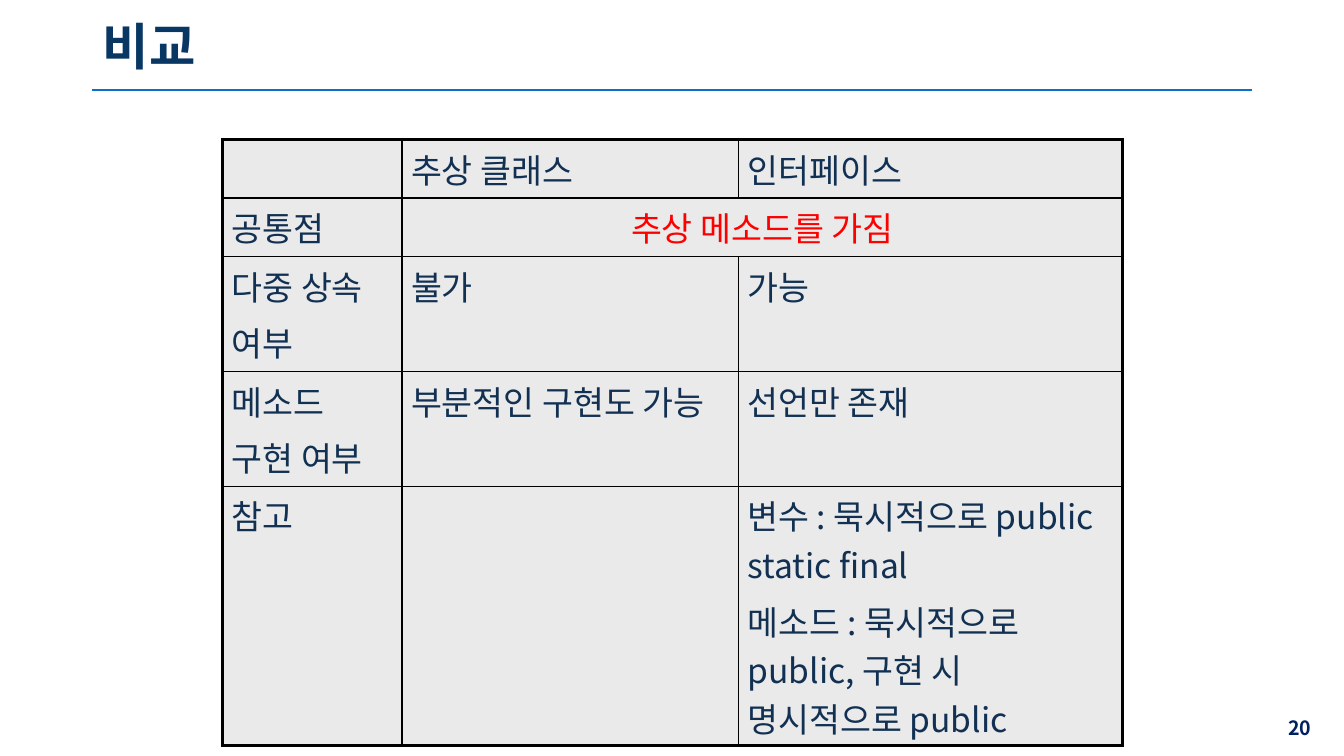
"""Build a slide that compares abstract classes with interfaces."""
import dataclasses

import lxml.etree
import pptx
import pptx.dml.color
import pptx.enum.shapes
import pptx.enum.text
import pptx.oxml.ns
import pptx.util

Cm = pptx.util.Cm
Pt = pptx.util.Pt
ALIGN = pptx.enum.text.PP_ALIGN
qn = pptx.oxml.ns.qn

SANS = "Noto Sans CJK KR"
INK = "113052"
COLS = (4.52, 8.48, 9.68)
ROWS = (1.48, 1.48, 2.89, 2.89, 6.54)
GRID = (
    ("", "추상 클래스", "인터페이스"),
    ("공통점", "추상 메소드를 가짐", ""),
    ("다중 상속\n여부", "불가", "가능"),
    ("메소드\n구현 여부", "부분적인 구현도 가능", "선언만 존재"),
    ("참고", "", "변수 : 묵시적으로 public static final\n"
     "메소드 : 묵시적으로 public, 구현 시 명시적으로 public"),
)


@dataclasses.dataclass(frozen=True)
class Style:
    size: int
    color: str
    face: str = SANS
    bold: bool = False
    align: ALIGN = ALIGN.LEFT


@dataclasses.dataclass(frozen=True)
class Label:
    text: str
    box: tuple[float, float, float, float]
    style: Style
    pitch: float = 1.0


BODY = Style(24, INK)
SHARED = Style(24, "FF0000", align=ALIGN.CENTER)
LABELS = (
    Label("비교", (2.34, 0.36, 29.21, 1.78),
          Style(36, "083763", "Arial", True), 0.9),
    Label("20", (31.55, 17.83, 1.75, 1.02),
          Style(14, "002060", bold=True, align=ALIGN.RIGHT)),
)


def color(code: str) -> pptx.dml.color.RGBColor:
    return pptx.dml.color.RGBColor.from_string(code)


def write(frame, text: str, style: Style) -> None:
    frame.text = text
    for index, para in enumerate(frame.paragraphs):
        para.alignment = style.align
        para.space_before = Pt(5.5 if index else 0)
        font = para.font
        font.name, font.size, font.bold = style.face, Pt(style.size), style.bold
        font.color.rgb = color(style.color)
        props = para._p.pPr.find(qn("a:defRPr"))
        lxml.etree.SubElement(props, qn("a:ea"), typeface=SANS)


def add_label(slide, label: Label) -> None:
    frame = slide.shapes.add_textbox(*map(Cm, label.box)).text_frame
    frame.word_wrap = True
    frame.vertical_anchor = pptx.enum.text.MSO_ANCHOR.MIDDLE
    write(frame, label.text, label.style)
    frame.paragraphs[0].line_spacing = label.pitch


def add_rule(slide) -> None:
    rule = slide.shapes.add_connector(
        pptx.enum.shapes.MSO_CONNECTOR.STRAIGHT,
        Cm(2.33), Cm(2.27), Cm(31.55), Cm(2.27))
    rule.line.color.rgb = color("0F6FC6")
    rule.line.width = Pt(1.5)
    lxml.etree.SubElement(rule._element.spPr, qn("a:effectLst"))


def add_edge(cell, side: str, outer: bool) -> None:
    width = Pt(2.25 if outer else 1)
    props = cell._tc.get_or_add_tcPr()
    edge = lxml.etree.SubElement(props, qn(f"a:ln{side}"), w=str(width))
    fill = lxml.etree.SubElement(edge, qn("a:solidFill"))
    lxml.etree.SubElement(fill, qn("a:srgbClr"), val="000000")


def add_grid(slide) -> None:
    table = slide.shapes.add_table(
        len(ROWS), len(COLS), Cm(5.61), Cm(3.51),
        Cm(sum(COLS)), Cm(sum(ROWS))).table
    table.first_row = table.horz_banding = False
    for col, width in zip(table.columns, COLS):
        col.width = Cm(width)
    for row, height in zip(table.rows, ROWS):
        row.height = Cm(height)
    common = table.cell(1, 1)
    common.merge(table.cell(1, 2))
    for y, texts in enumerate(GRID):
        for x, text in enumerate(texts):
            cell = table.cell(y, x)
            if cell.is_spanned:
                continue
            span = cell.span_width if cell.is_merge_origin else 1
            add_edge(cell, "L", x == 0)
            add_edge(cell, "R", x + span == len(COLS))
            add_edge(cell, "T", y == 0)
            add_edge(cell, "B", y + 1 == len(ROWS))
            cell.fill.solid()
            cell.fill.fore_color.rgb = color("EAEAEA")
            cell.margin_left = cell.margin_right = Cm(0.23)
            cell.margin_top = cell.margin_bottom = Cm(0.12)
            if text:
                write(cell.text_frame, text, SHARED if span > 1 else BODY)


def main() -> None:
    deck = pptx.Presentation()
    deck.slide_width, deck.slide_height = Cm(33.87), Cm(19.05)
    slide = deck.slides.add_slide(deck.slide_layouts[6])
    add_rule(slide)
    for label in LABELS:
        add_label(slide, label)
    add_grid(slide)
    deck.save("out.pptx")


if __name__ == "__main__":
    main()
